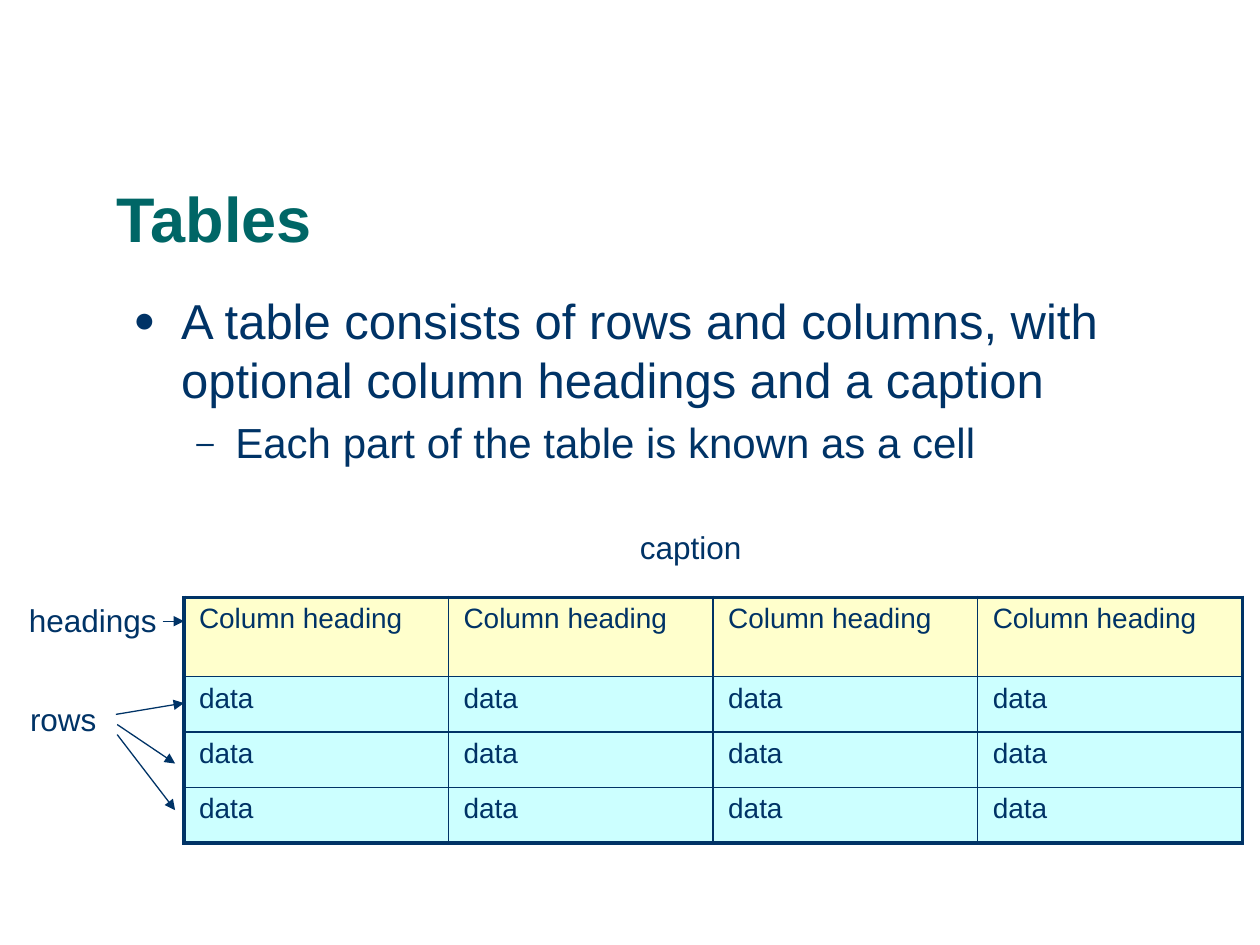
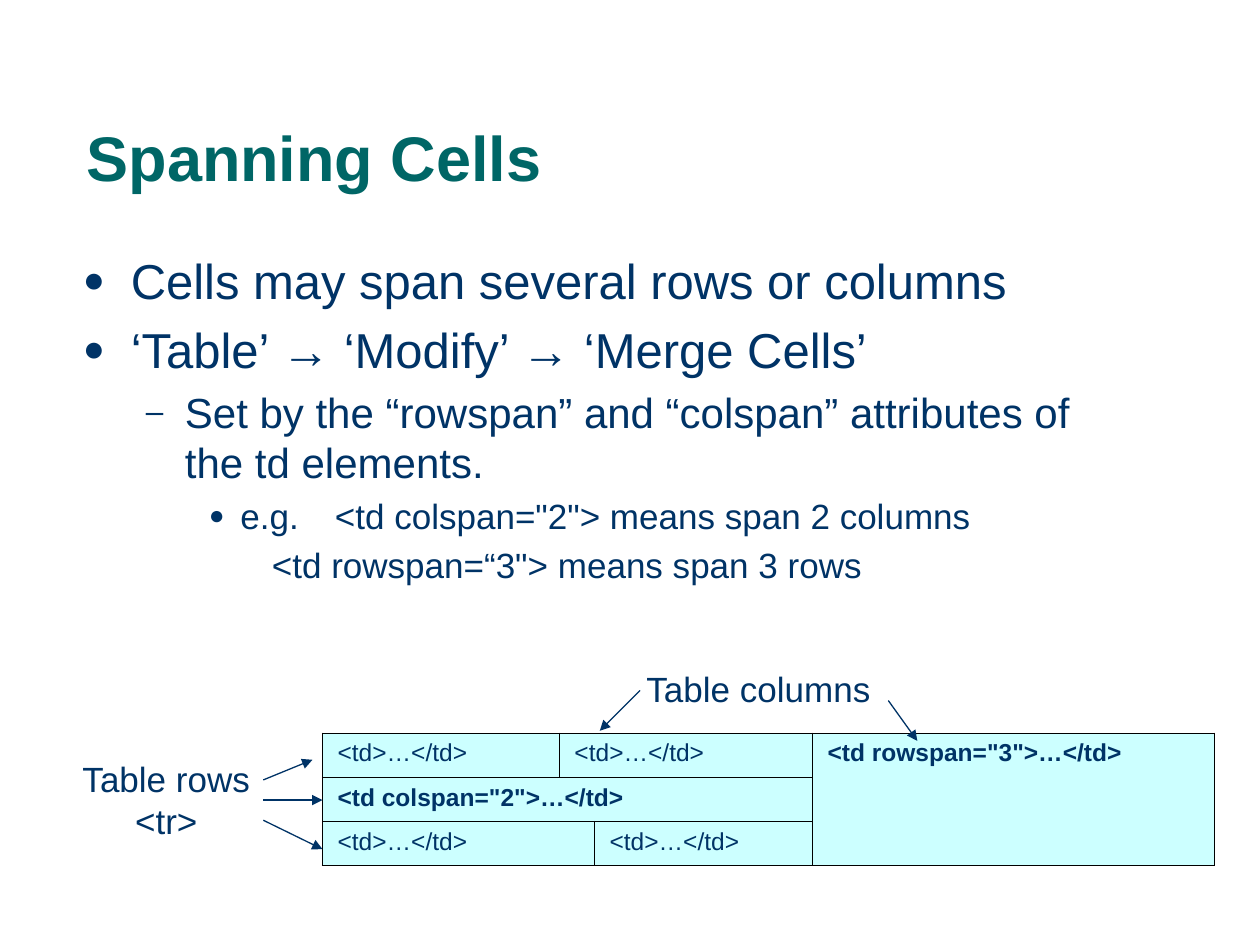
from pptx import Presentation
from pptx.dml.color import RGBColor
from pptx.enum.shapes import MSO_CONNECTOR
from pptx.enum.text import MSO_ANCHOR, PP_ALIGN
from pptx.oxml.ns import qn
from pptx.util import Inches, Pt
from lxml import etree

STRAIGHT = MSO_CONNECTOR.STRAIGHT
BOTTOM = MSO_ANCHOR.BOTTOM
LEFT, CENTER = PP_ALIGN.LEFT, PP_ALIGN.CENTER

FONT = "Arial"
COLORS = {"title": "006666", "ink": "003366", "heading": "FFFFCC",
          "data": "CCFFFF", "grid": "000000"}
# level: (size, left margin, first-line indent, bullet)
LEVELS = {0: (28, 0.38, -0.38, "●"), 1: (24, 0.81, -0.31, "–"),
          2: (20, 1.25, -0.25, "●"), "plain": (20, 1, 0, None)}


def style(p, size, color="ink", bold=False):
    for r in p.runs:
        r.font.name, r.font.size, r.font.bold = FONT, Pt(size), bold
        r.font.color.rgb = RGBColor.from_string(COLORS[color])


def fill_cell(cell, text, size, fill, line, widths, bold=False):
    """Fill one cell; widths are its left, right, top and bottom borders in points."""
    cell.text = text
    style(cell.text_frame.paragraphs[0], size, bold=bold)
    cell.margin_left = cell.margin_right = Inches(0.12)
    cell.margin_top = cell.margin_bottom = Inches(0.05)
    tcPr = cell._tc.get_or_add_tcPr()
    for side, width in zip(("a:lnL", "a:lnR", "a:lnT", "a:lnB"), widths):
        ln = etree.SubElement(tcPr, qn(side), w=str(Pt(width)))
        solid = etree.SubElement(ln, qn("a:solidFill"))
        etree.SubElement(solid, qn("a:srgbClr"), val=COLORS[line])
    cell.fill.solid()
    cell.fill.fore_color.rgb = RGBColor.from_string(COLORS[fill])


prs = Presentation()
prs.slide_width, prs.slide_height = Inches(10), Inches(7.5)

slides = [
    {"title": ("Tables", 0.83, 0.83),
     "body": (0.96, 2.26, 1.87, [
         (0, "A table consists of rows and columns, with optional column headings and a caption"),
         (1, "Each part of the table is known as a cell")]),
     "table": (1.46, 4.74, [2.1] * 4, [0.63] + [0.44] * 3),
     "labels": [("caption", 4.98, 4.14, 1.01, 0.4, 18, LEFT, False),
                ("rows", 0.14, 5.51, 0.73, 0.4, 18, LEFT, True),
                ("headings", 0.13, 4.72, 1.22, 0.4, 18, LEFT, False)],
     "arrows": [(0.92, 5.67, 1.46, 5.58), (0.93, 5.75, 1.39, 6.06),
                (0.93, 5.83, 1.39, 6.43), (1.29, 4.93, 1.46, 4.93)]},
    {"title": ("Spanning Cells", 0.59, 0.35),
     "body": (0.56, 1.94, 3.49, [
         (0, "Cells may span several rows or columns"),
         (0, "‘Table’ → ‘Modify’ → ‘Merge Cells’"),
         (1, "Set by the “rowspan” and “colspan” attributes of the td elements."),
         (2, 'e.g. \t<td colspan="2"> means span 2 columns'),
         ("plain", '\t<td rowspan=“3"> means span 3 rows')]),
     "table": (2.56, 5.82, [1.88, 0.21, 1.73, 3.19], [0.35] * 3),
     "labels": [("Table rows <tr>", 0.51, 5.96, 1.62, 0.77, 20, CENTER, True),
                ("Table columns", 4.76, 5.25, 2.52, 0.43, 20, CENTER, True)],
     "arrows": [(2.09, 6.19, 2.48, 6.03), (2.09, 6.35, 2.56, 6.35),
                (2.09, 6.51, 2.56, 6.74), (5.08, 5.48, 4.76, 5.8),
                (7.05, 5.56, 7.28, 5.88)]},
]

tables = []
for content in slides:
    s = prs.slides.add_slide(prs.slide_layouts[6])

    title, x, y = content["title"]
    tf = s.shapes.add_textbox(Inches(x), Inches(y), Inches(8.67), Inches(1.25)).text_frame
    tf.word_wrap, tf.vertical_anchor = True, BOTTOM
    tf.text = title
    tf.paragraphs[0].line_spacing = 0.9
    style(tf.paragraphs[0], 36, "title", True)

    x, y, cols, rows = content["table"]
    table = s.shapes.add_table(len(rows), len(cols), Inches(x), Inches(y),
                               Inches(sum(cols)), Inches(sum(rows))).table
    table.first_row = table.horz_banding = False
    for col, width in zip(table.columns, cols):
        col.width = Inches(width)
    for row, height in zip(table.rows, rows):
        row.height = Inches(height)
    tables.append(table)

    x, y, height, bullets = content["body"]
    tf = s.shapes.add_textbox(Inches(x), Inches(y), Inches(8.41), Inches(height)).text_frame
    tf.word_wrap = True
    for i, (level, text) in enumerate(bullets):
        size, margin, indent, bullet = LEVELS[level]
        p = tf.add_paragraph() if i else tf.paragraphs[0]
        p.text = text
        style(p, size)
        p.space_before = Pt(0.2 * size if i else 0)
        pPr = p._p.get_or_add_pPr()
        pPr.set("marL", str(Inches(margin)))
        pPr.set("indent", str(Inches(indent)))
        if bullet:
            p.level = level if level != "plain" else 2
            color = etree.SubElement(pPr, qn("a:buClr"))
            etree.SubElement(color, qn("a:srgbClr"), val=COLORS["ink"])
            etree.SubElement(pPr, qn("a:buSzPct"), val="75000")
            etree.SubElement(pPr, qn("a:buFont"), typeface=FONT)
            etree.SubElement(pPr, qn("a:buChar"), char=bullet)

    for text, x, y, width, height, size, align, wrap in content["labels"]:
        tf = s.shapes.add_textbox(Inches(x), Inches(y), Inches(width), Inches(height)).text_frame
        tf.word_wrap = wrap
        tf.text = text
        tf.paragraphs[0].alignment = align
        style(tf.paragraphs[0], size)

    for ends in content["arrows"]:
        line = s.shapes.add_connector(STRAIGHT, *map(Inches, ends))
        line.line.color.rgb = RGBColor.from_string(COLORS["ink"])
        line.line.width = Pt(0.75)
        etree.SubElement(line.line._get_or_add_ln(), qn("a:tailEnd"), type="triangle")
        etree.SubElement(line._element.spPr, qn("a:effectLst"))

parts_table, span_table = tables

# Headed table: thick frame, thin inner lines
for row in range(4):
    for col in range(4):
        widths = [2.25 if edge else 1 for edge in (col == 0, col == 3, row == 0, row == 3)]
        text, fill = ("data", "data") if row else ("Column heading", "heading")
        fill_cell(parts_table.cell(row, col), text, 16, fill, "ink", widths)

# Spanning table: top-left and bottom-right corners of each merged block
for first, last in [((0, 1), (0, 2)), ((0, 3), (2, 3)), ((1, 0), (1, 2)), ((2, 0), (2, 1))]:
    span_table.cell(*first).merge(span_table.cell(*last))
span_texts = {(0, 3): '<td rowspan="3">…</td>', (1, 0): '<td colspan="2">…</td>'}
for row in range(3):
    for col in range(4):
        cell = span_table.cell(row, col)
        text = "" if cell.is_spanned else span_texts.get((row, col), "<td>…</td>")
        fill_cell(cell, text, 14, "data", "grid", [1] * 4, (row, col) in span_texts)

prs.save("out.pptx")
